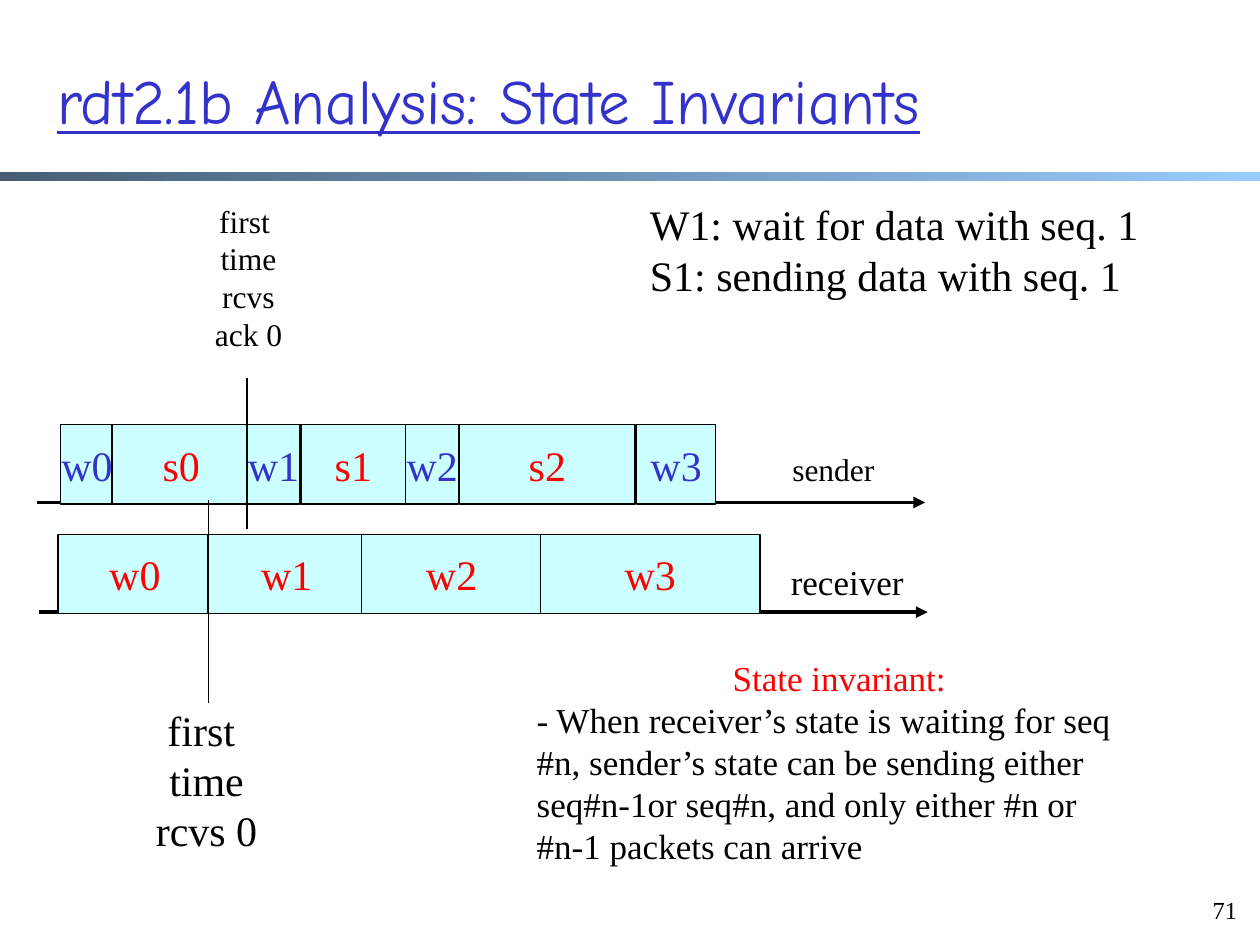
from lxml import etree
from pptx import Presentation, util as u
from pptx.dml.color import RGBColor
from pptx.enum import shapes, text
from pptx.oxml.ns import qn

BLACK, RED, BLUE, CYAN = "000000", "FF0000", "3333CC", "CCFFFF"
SERIF, COMIC = "Times New Roman", "Comic Neue"
ALIGN = text.PP_ALIGN
STATE_HEIGHT = 1.6
AXIS_DROP = 1.57


def colour(value):
    return RGBColor.from_string(value)


def lengths(*values):
    return [u.Cm(value) for value in values]


def write(frame, lines, size, color=BLACK, align=ALIGN.LEFT, wrap=False, **extra):
    """Fill a text frame; a line is a string or a (string, colour, align) tuple."""
    frame.word_wrap = wrap
    for index, line in enumerate(lines):
        words, tint, side = line if isinstance(line, tuple) else (line, color, align)
        para = frame.paragraphs[0] if index == 0 else frame.add_paragraph()
        para.alignment = side
        for number, part in enumerate(words.split("\n")):
            if number:
                para.add_line_break()
            span = para.add_run()
            span.text = part
            look = {"name": SERIF, "size": u.Pt(size), **extra}
            for key, value in look.items():
                setattr(span.font, key, value)
            span.font.color.rgb = colour(tint)


def add_text(page, box, lines, size, **style):
    frame = page.shapes.add_textbox(*lengths(*box)).text_frame
    write(frame, lines, size, **style)
    return frame


def add_line(page, start, end, width, arrow=False):
    line = page.shapes.add_connector(
        shapes.MSO_CONNECTOR.STRAIGHT, *lengths(*start, *end))
    line.line.color.rgb = colour(BLACK)
    line.line.width = u.Pt(width)
    if arrow:
        etree.SubElement(line.line._get_or_add_ln(), qn("a:tailEnd"), type="triangle")
    etree.SubElement(line._element.spPr, qn("a:effectLst"))


def add_rectangle(page, box):
    rectangle = page.shapes.add_shape(shapes.MSO_SHAPE.RECTANGLE, *lengths(*box))
    rectangle.shadow.inherit = False
    return rectangle


def header(page, box):
    """Underlined title above a full-width gradient rule."""
    left, top, width, height = box
    rule = add_rectangle(page, (left, top + height - 0.2, width, 0.2))
    rule.line.fill.background()
    rule.fill.gradient()
    rule.fill.gradient_angle = 0
    for stop, position, tint in zip(rule.fill.gradient_stops, (0, 1), ("475E76", "99CCFF")):
        stop.position = position
        stop.color.rgb = colour(tint)
    frame = add_text(page, (left + 0.91, top + 0.41, 22.28, 3.18),
                     ["rdt2.1b Analysis: State Invariants"], 36,
                     color=BLUE, wrap=True, name=COMIC, underline=True)
    frame.vertical_anchor = text.MSO_ANCHOR.MIDDLE


def timeline(page, box, states, label, label_box, label_size, wait_color):
    """Time axis with its states; each state is (name, offset, width)."""
    left, top, width = box
    axis = top + AXIS_DROP
    add_line(page, (left, axis), (left + width, axis), 2.25, arrow=True)
    for name, offset, span in states:
        state = add_rectangle(page, (left + offset, top, span, STATE_HEIGHT))
        state.fill.solid()
        state.fill.fore_color.rgb = colour(CYAN)
        state.line.color.rgb = colour(BLACK)
        state.line.width = u.Pt(0.75)
        state.text_frame.vertical_anchor = text.MSO_ANCHOR.MIDDLE
        write(state.text_frame, [name], 24, align=ALIGN.CENTER,
              color=wait_color if name.startswith("w") else RED)
    x, y, *size = label_box
    add_text(page, (left + x, top + y, *size), [label], label_size, align=ALIGN.CENTER)


def event(page, box, lines, size, x, start, end):
    """Vertical time marker with a centred caption."""
    add_line(page, (x, start), (x, end), 0.75)
    add_text(page, box, lines, size, align=ALIGN.CENTER)


def notes(page, legend_box, invariant_box):
    """Legend at the top right, invariant at the bottom right."""
    add_text(page, legend_box,
             ["W1: wait for data with seq. 1", "S1: sending data with seq. 1"], 24)
    add_text(page, invariant_box, [
        ("State invariant:", RED, ALIGN.CENTER),
        "- When receiver’s state is waiting for seq #n, sender’s state can be sending either \n"
        "seq#n-1or seq#n, and only either #n or #n-1 packets can arrive"], 20, wrap=True)


def main():
    deck = Presentation()
    deck.slide_width, deck.slide_height = lengths(25.4, 19.05)
    page = deck.slides.add_slide(deck.slide_layouts[6])

    header(page, (0, 0, 25.4, 3.66))

    # Sender and receiver timelines
    sender = [("w0", 0.48, 1.07), ("s0", 1.52, 2.79), ("w1", 4.24, 1.07), ("s1", 5.33, 2.11),
              ("w2", 7.44, 1.07), ("s2", 8.53, 3.53), ("w3", 12.09, 1.6)]
    receiver = [("w0", 0.38, 3.1), ("w1", 3.4, 3.18), ("w2", 6.5, 3.63), ("w3", 10.11, 4.42)]
    timeline(page, (0.74, 8.56, 17.91), sender, "sender", (14.93, 0.38, 2.26, 1.02), 18, BLUE)
    timeline(page, (0.79, 10.77, 17.91), receiver, "receiver", (14.79, 0.41, 3, 1.09), 20, RED)

    # Events marked on the timelines
    event(page, (2.88, 14.07, 2.57, 3.3), ["first ", "time", "rcvs 0"], 24, 4.2, 10.08, 14.17)
    event(page, (4.02, 3.94, 1.98, 3.3), ["first ", "time", "rcvs", "ack 0"], 18,
          4.98, 7.62, 10.67)

    notes(page, (12.85, 3.88, 10.36, 2.29), (10.57, 13.11, 12.7, 4.52))

    # Page number
    add_text(page, (24.02, 17.91, 1.17, 0.97), ["71"], 14, align=ALIGN.RIGHT)

    deck.save("out.pptx")


if __name__ == "__main__":
    main()
